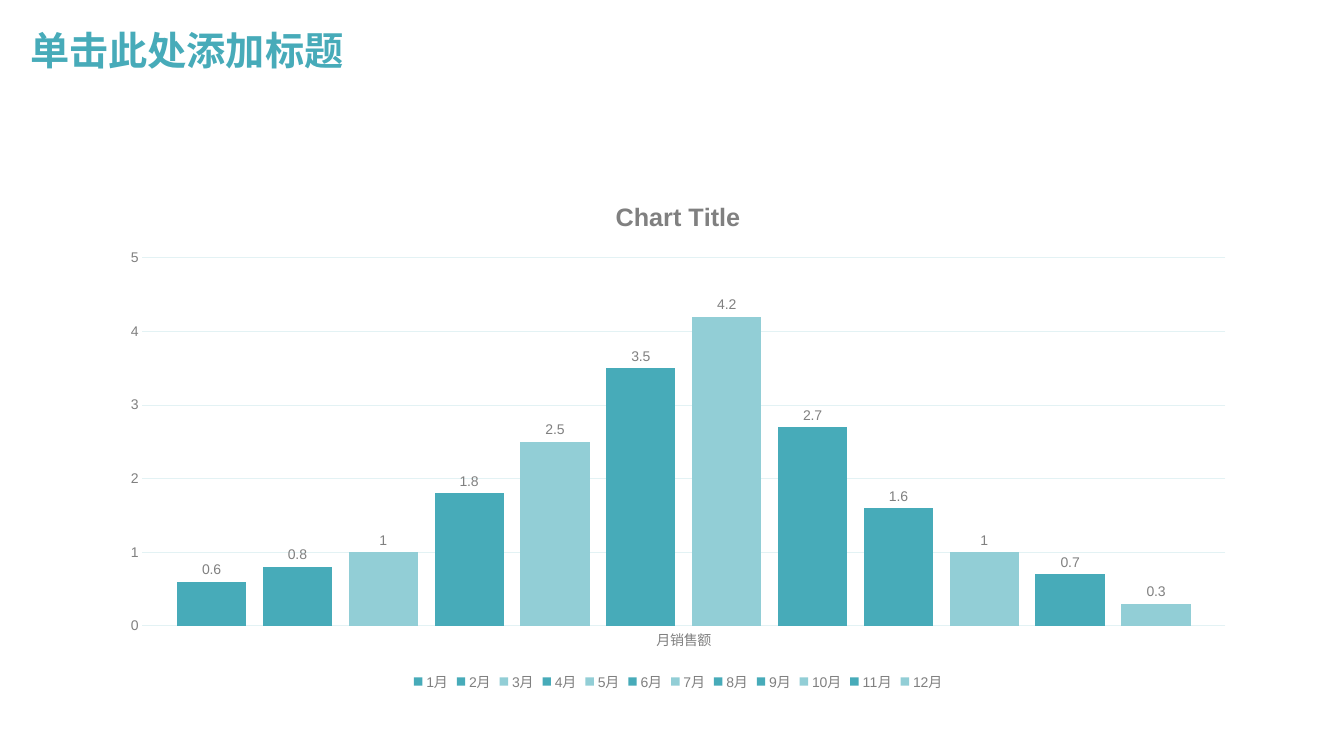
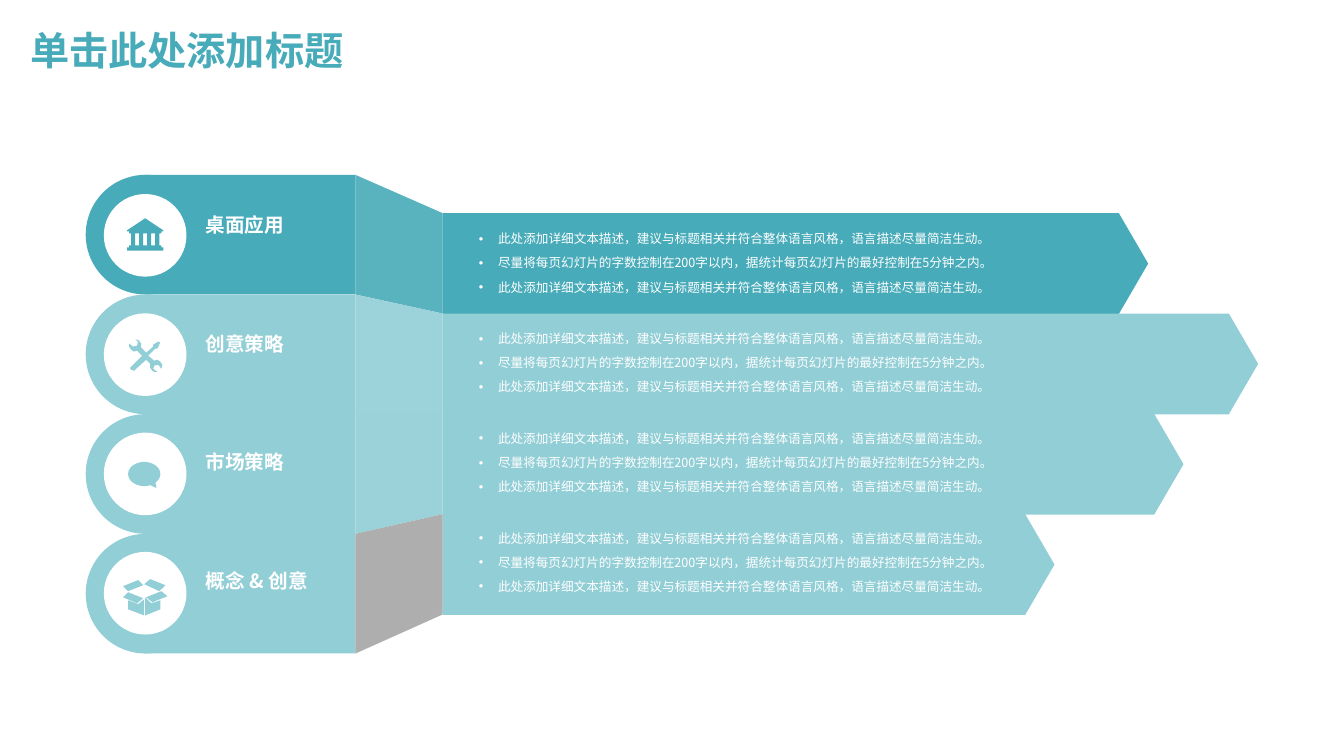
from dataclasses import dataclass
from typing import NamedTuple

from lxml.etree import SubElement
from pptx import Presentation
from pptx.chart.data import CategoryChartData
from pptx.dml.color import RGBColor
from pptx.enum.chart import XL_CHART_TYPE, XL_LABEL_POSITION, XL_LEGEND_POSITION, XL_TICK_MARK
from pptx.enum.shapes import MSO_SHAPE
from pptx.enum.text import MSO_ANCHOR
from pptx.oxml.ns import qn
from pptx.util import Emu, Inches, Pt

WIDTH, HEIGHT = Inches(13.33), Inches(7.5)
TEAL, PALE, GREY, INK, RULE, WHITE = "47ABB9", "92CED6", "A6A6A6", "808080", "E3F2F4", "FFFFFF"
CJK = "Noto Sans CJK SC"
TITLE_FONT = {"name": "Montserrat", "size": Pt(28), "bold": True}
LABEL_FONT = {"name": CJK, "size": Pt(14), "bold": True}
BODY_FONT = {"name": CJK, "size": Pt(9)}
CHART_FONT = {"name": "Arial", "size": Pt(10), "bold": False}
CHART_TITLE_FONT = {"name": "Arial", "size": Pt(18), "bold": True}
HEADING = "单击此处添加标题"
DETAIL = "此处添加详细文本描述，建议与标题相关并符合整体语言风格，语言描述尽量简洁生动。"
LIMIT = "尽量将每页幻灯片的字数控制在200字以内，据统计每页幻灯片的最好控制在5分钟之内。"
SALES = (0.6, 0.8, 1, 1.8, 2.5, 3.5, 4.2, 2.7, 1.6, 1, 0.7, 0.3)
PALE_MONTHS = {3, 5, 7, 10, 12}


class Area(NamedTuple):
    """A rectangle in percent of the slide's width and height."""
    left: float
    top: float
    width: float
    height: float

    def lengths(self) -> tuple:
        """Return the rectangle as slide lengths."""
        return (across(self.left), down(self.top), across(self.width), down(self.height))


class Track(NamedTuple):
    """Evenly spaced rows in percent of the slide's height."""
    first: float
    pitch: float

    def top(self, row: int) -> float:
        """Return the top of a row."""
        return self.first + self.pitch * row


@dataclass(frozen=True)
class Band:
    """One topic: its label, colours and widths in percent."""
    label: str
    color: str
    fold_color: str
    opacity: int
    arrow_width: float
    body_width: float


BANDS = (
    Band("桌面应用", TEAL, TEAL, 90, 52.5, 45.9),
    Band("创意策略", PALE, PALE, 90, 60.68, 57.08),
    Band("市场策略", PALE, PALE, 91, 55.13, 57.08),
    Band("概念 & 创意", PALE, GREY, 91, 45.53, 37.58),
)
TABS, ARROWS = Track(23.13, 15.83), Track(28.2, 13.27)
LABELS, BODIES, DISCS = Track(28.53, 15.69), Track(30.8, 13.2), Track(25.67, 15.78)
CAP_LEFT, TAB_LEFT, TAB_RIGHT, ARROW_LEFT = 6.38, 10.76, 26.44, 32.93
DISC_LEFT, DISC_WIDTH, DISC_HEIGHT, DISC_CELLS = 7.73, 6.15, 10.93, 82

ROOF_HALF = [(23, 36), (23, 37), (25, 37), (25, 39), (27, 39), (27, 51),
             (25, 51), (25, 53), (23, 53), (23, 56)]
BANK = [[(41, 24), *ROOF_HALF, *[(82 - x, y) for x, y in reversed(ROOF_HALF)]]]
BANK += [[(x, 39), (x + 4, 39), (x + 4, 51), (x, 51)] for x in (31, 39, 47)]
TOOLS = [[(56, 48), (53, 46), (50, 47), (44, 42), (51, 35), (53, 35), (56, 29), (54, 28),
          (49, 31), (49, 33), (42, 39), (37, 34), (37, 30), (35, 27), (33, 26), (31, 26),
          (34, 28), (33, 32), (29, 33), (25, 30), (25, 33), (27, 36), (30, 38), (33, 37),
          (38, 42), (27, 53), (26.5, 54.5), (27, 56), (28, 56.5), (29.5, 57), (31, 56),
          (42, 46), (46, 50), (46, 54), (48, 57), (50, 58), (53, 58), (49, 55), (50, 52),
          (54, 51), (57, 55), (58, 51)]]
PARCEL = [
    [(39, 33), (34, 28), (19, 34), (24, 39)],
    [(41, 45), (41, 63), (56, 57), (56, 48), (47, 51)],
    [(42, 45), (48, 50), (63, 44), (57, 39)],
    [(61, 33), (46, 27), (40, 32), (55, 39)],
    [(24, 48), (24, 57), (40, 63), (40, 47), (34, 52)],
    [(39, 46), (24, 40), (19, 45), (33, 51)],
]
OUTLINES = {0: BANK, 1: TOOLS, 3: PARCEL}


def across(percent: float) -> Emu:
    """Turn a share of the slide's width into a length."""
    return Emu(round(WIDTH * percent / 100))


def down(percent: float) -> Emu:
    """Turn a share of the slide's height into a length."""
    return Emu(round(HEIGHT * percent / 100))


def rgb(color: str) -> RGBColor:
    """Return a colour from its hex string."""
    return RGBColor.from_string(color)


def apply(target, values: dict) -> None:
    """Set every attribute listed in a dict."""
    for name, value in values.items():
        setattr(target, name, value)


def style_font(font, values: dict, color: str) -> None:
    """Give a font its format values and colour."""
    apply(font, values)
    font.color.rgb = rgb(color)


def paint(shape, color: str, opacity: int = 100) -> None:
    """Give a shape a flat fill without outline or shadow."""
    shape.shadow.inherit = False
    shape.fill.solid()
    shape.fill.fore_color.rgb = rgb(color)
    shape.line.fill.background()
    if opacity < 100:
        tint = shape.fill._xPr.find(qn("a:solidFill"))[0]
        SubElement(tint, qn("a:alpha"), val=str(opacity * 1000))


def add_block(page, kind, area: Area, color: str, opacity: int = 100):
    """Draw a filled preset shape."""
    shape = page.shapes.add_shape(kind, *area.lengths())
    paint(shape, color, opacity)
    return shape


def add_outline(page, contours: list, color: str, origin=(0, 0), cell: float = 1.0,
                opacity: int = 100) -> None:
    """Draw closed contours as one filled freeform."""
    builder = page.shapes.build_freeform(*contours[0][0], scale=cell)
    for number, contour in enumerate(contours):
        if number:
            builder.move_to(*contour[0])
        builder.add_line_segments(contour[1:], close=True)
    paint(builder.convert_to_shape(*origin), color, opacity)


def add_bullet(para) -> None:
    """Give a paragraph a hanging round bullet."""
    properties = para._p.get_or_add_pPr()
    properties.set("marL", str(Inches(0.19)))
    properties.set("indent", str(-Inches(0.19)))
    SubElement(properties, qn("a:buFont"), typeface="Arial")
    SubElement(properties, qn("a:buChar"), char="•")


def add_text(page, area: Area, lines: tuple, font: dict, color: str, bulleted: bool = False,
             inset: float = 0, anchor=MSO_ANCHOR.TOP) -> None:
    """Write paragraphs in a wrapping text box."""
    frame = page.shapes.add_textbox(*area.lengths()).text_frame
    apply(frame, {"word_wrap": True, "vertical_anchor": anchor,
                  "margin_left": Inches(inset), "margin_right": Inches(inset),
                  "margin_top": Inches(inset / 2), "margin_bottom": Inches(inset / 2)})
    for number, line in enumerate(lines):
        para = frame.add_paragraph() if number else frame.paragraphs[0]
        if bulleted:
            add_bullet(para)
        apply(para, {"line_spacing": 0.9, "space_before": Pt(7.5 if number else 0)})
        span = para.add_run()
        span.text = line
        style_font(span.font, font, color)
        SubElement(span._r.get_or_add_rPr(), qn("a:ea"), typeface=CJK)


def add_page(deck):
    """Add a blank page with the shared panel and title."""
    page = deck.slides.add_slide(deck.slide_layouts[6])
    add_block(page, MSO_SHAPE.RECTANGLE, Area(0, 13.07, 100, 86.93), WHITE, 85)
    add_text(page, Area(1.5, 2.67, 86.25, 8.53), (HEADING,), TITLE_FONT, TEAL,
             inset=0.1, anchor=MSO_ANCHOR.MIDDLE)
    return page


def style_line(line, color: str) -> None:
    """Draw a thin chart line."""
    line.color.rgb = rgb(color)
    line.width = Pt(0.75)


def add_sales_chart(page) -> None:
    """Draw the monthly sales columns."""
    data = CategoryChartData()
    data.categories = ["月销售额"]
    for month, value in enumerate(SALES, 1):
        data.add_series(f"{month}月", [value])
    chart = page.shapes.add_chart(XL_CHART_TYPE.COLUMN_CLUSTERED,
                                  *Area(8.03, 23.87, 84.83, 68.13).lengths(), data).chart
    style_font(chart.font, CHART_FONT, INK)
    apply(chart, {"has_title": True, "has_legend": True})
    title = chart.chart_title.text_frame
    title.text = "Chart Title"
    style_font(title.paragraphs[0].runs[0].font, CHART_TITLE_FONT, INK)
    apply(chart.legend, {"position": XL_LEGEND_POSITION.BOTTOM, "include_in_layout": False})
    ticks = {"major_tick_mark": XL_TICK_MARK.NONE, "minor_tick_mark": XL_TICK_MARK.NONE}
    apply(chart.category_axis, ticks)
    apply(chart.value_axis, {**ticks, "minimum_scale": 0, "maximum_scale": 5, "major_unit": 1})
    for item in (chart.legend, chart.category_axis.tick_labels, chart.value_axis.tick_labels):
        style_font(item.font, CHART_FONT, INK)
    style_line(chart.category_axis.format.line, RULE)
    style_line(chart.value_axis.major_gridlines.format.line, RULE)
    chart.value_axis.format.line.fill.background()
    plot = chart.plots[0]
    apply(plot, {"gap_width": 100, "overlap": -24, "vary_by_categories": False})
    for month, series in enumerate(plot.series, 1):
        series.format.fill.solid()
        series.format.fill.fore_color.rgb = rgb(PALE if month in PALE_MONTHS else TEAL)
        apply(series.data_labels, {"show_value": True, "position": XL_LABEL_POSITION.OUTSIDE_END})
        style_font(series.data_labels.font, CHART_FONT, INK)


def add_band(page, row: int, band: Band) -> None:
    """Draw one arrow with its tab, fold and rounded cap."""
    tab, arrow = TABS.top(row), ARROWS.top(row)
    shape = add_block(page, MSO_SHAPE.PENTAGON,
                      Area(ARROW_LEFT, arrow, band.arrow_width, 13.33), band.color)
    shape.adjustments[0] = 0.291
    add_block(page, MSO_SHAPE.RECTANGLE,
              Area(TAB_LEFT, tab, TAB_RIGHT - TAB_LEFT, TABS.pitch), band.color)
    corners = ((TAB_RIGHT, tab), (ARROW_LEFT, arrow),
               (ARROW_LEFT, ARROWS.top(row + 1)), (TAB_RIGHT, TABS.top(row + 1)))
    add_outline(page, [[(across(x), down(y)) for x, y in corners]], band.fold_color,
                opacity=band.opacity)
    cap_width = TABS.pitch * HEIGHT / WIDTH
    add_block(page, MSO_SHAPE.OVAL, Area(CAP_LEFT, tab, cap_width, TABS.pitch), band.color)


def add_badge(page, row: int, band: Band) -> None:
    """Draw the white disc with its icon."""
    disc = Area(DISC_LEFT, DISCS.top(row), DISC_WIDTH, DISC_HEIGHT)
    add_block(page, MSO_SHAPE.OVAL, disc, WHITE)
    left, top, width, _ = disc.lengths()
    if row in OUTLINES:
        add_outline(page, OUTLINES[row], band.color, (left, top), width / DISC_CELLS)
    else:
        bubble = add_block(page, MSO_SHAPE.OVAL_CALLOUT,
                           Area(9.53, disc.top + 3.87, 2.4, 3.2), band.color)
        bubble.adjustments[0], bubble.adjustments[1] = 0.38, 0.58


def add_band_text(page, row: int, band: Band) -> None:
    """Write the label and the bulleted details of a band."""
    add_text(page, Area(15.3, LABELS.top(row), 9.6, 6.13), (band.label,), LABEL_FONT, WHITE)
    add_text(page, Area(35.63, BODIES.top(row), band.body_width, 10.8),
             (DETAIL, LIMIT, DETAIL), BODY_FONT, WHITE, bulleted=True)


def main() -> None:
    """Build and save the deck."""
    deck = Presentation()
    apply(deck, {"slide_width": WIDTH, "slide_height": HEIGHT})
    add_sales_chart(add_page(deck))
    page = add_page(deck)
    for draw in (add_band, add_badge, add_band_text):
        for row, band in enumerate(BANDS):
            draw(page, row, band)
    deck.save("out.pptx")


if __name__ == "__main__":
    main()
